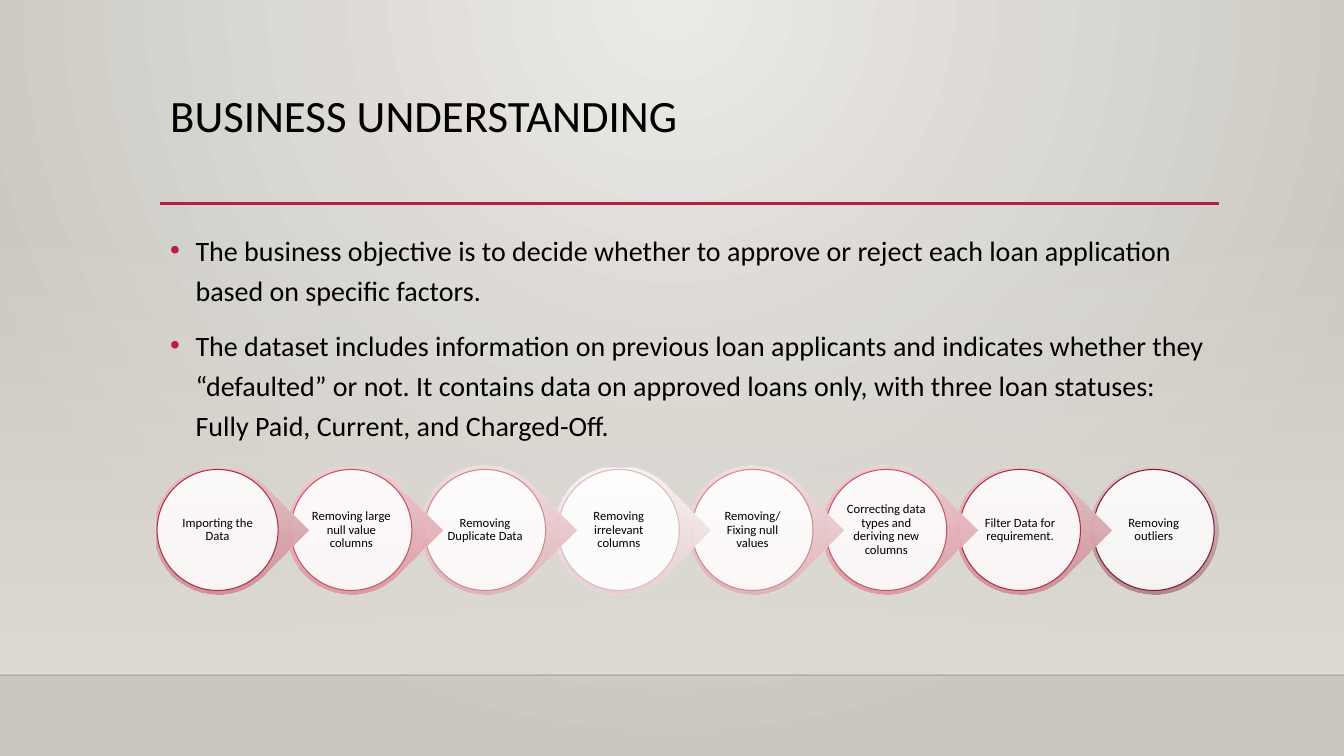
from lxml.etree import SubElement
from pptx import Presentation
from pptx.dml.color import RGBColor
from pptx.enum.shapes import MSO_CONNECTOR, MSO_SHAPE
from pptx.enum.text import MSO_ANCHOR, PP_ALIGN
from pptx.oxml import parse_xml
from pptx.oxml.ns import nsdecls, qn
from pptx.util import Cm, Pt

WIDTH, HEIGHT = 33.87, 19.05
STEP_LEFT, STEP_TOP, STEP_PITCH = 3.86, 11.73, 3.37
DROP_SIZE, DISC_SIZE, LABEL_SIZE = 3.25, 3.05, 2.18

DEEP = ("E8D1D3", "C9848B", "B22A45")
ROSE = ("F0D9DC", "D98F98", "C85165")
PALE = ("F5E8E9", "DCAAB0", "CF8892")
FAINT = ("FDFBFB", "E5CACD", "DBB9BD")
WINE = ("DBCCCD", "AD8387", "871631")

STEPS = [
    ("Importing the Data", DEEP),
    ("Removing large null value columns", ROSE),
    ("Removing Duplicate Data", PALE),
    ("Removing irrelevant columns", FAINT),
    ("Removing/Fixing null values", PALE),
    ("Correcting data types and deriving new columns", ROSE),
    ("Filter Data for requirement.", DEEP),
    ("Removing outliers", WINE),
]
BULLETS = [
    "The business objective is to decide whether to approve or reject each loan "
    "application based on specific factors.",
    "The dataset includes information on previous loan applicants and indicates whether "
    "they “defaulted” or not. It contains data on approved loans only, with three loan "
    "statuses: Fully Paid, Current, and Charged-Off.",
]
LINEAR = '<a:lin ang="5400000" scaled="0"/>'
RADIAL = '<a:path path="circle"><a:fillToRect l="43000" r="43000" b="100000"/></a:path>'


def rgb(value):
    """Turn a hex string into a colour."""
    return RGBColor.from_string(value)


def set_alpha(parent, percent):
    """Make the solid colour inside an element partly transparent."""
    clr = next(parent.iter(qn("a:srgbClr")))
    SubElement(clr, qn("a:alpha"), val=str(percent * 1000))


def set_gradient(fill, parent, start, end, start_alpha=100, end_alpha=100, shade=LINEAR):
    """Fill an element with a gradient of two colours."""
    fill.solid()
    stops = "".join(
        f'<a:gs pos="{pos}"><a:srgbClr val="{color}"><a:alpha val="{alpha * 1000}"/>'
        "</a:srgbClr></a:gs>"
        for pos, color, alpha in ((0, start, start_alpha), (100000, end, end_alpha))
    )
    grad = parse_xml(
        f'<a:gradFill {nsdecls("a")} rotWithShape="0"><a:gsLst>{stops}</a:gsLst>{shade}</a:gradFill>'
    )
    solid = next(parent.iter(qn("a:solidFill")))
    solid.getparent().replace(solid, grad)


def add_shape(s, kind, left, top, width, height):
    """Add a preset shape without line or shadow."""
    sp = s.shapes.add_shape(kind, Cm(left), Cm(top), Cm(width), Cm(height))
    sp.shadow.inherit = False
    sp.line.fill.background()
    return sp


def add_rule(s, left, right, y, color, width, alpha=100):
    """Add a horizontal line."""
    cx = s.shapes.add_connector(MSO_CONNECTOR.STRAIGHT, Cm(left), Cm(y), Cm(right), Cm(y))
    cx.line.color.rgb = rgb(color)
    cx.line.width = Pt(width)
    set_alpha(cx.line._ln, alpha)
    SubElement(cx._element.spPr, qn("a:effectLst"))


def add_text(s, left, top, width, height, paragraphs, size, spacing, **fmt):
    """Add a text box; fmt takes align, anchor, inset, before and bullet."""
    tf = s.shapes.add_textbox(Cm(left), Cm(top), Cm(width), Cm(height)).text_frame
    tf.word_wrap = True
    tf.vertical_anchor = fmt.get("anchor", MSO_ANCHOR.TOP)
    if "inset" in fmt:
        tf.margin_left = tf.margin_right = Cm(fmt["inset"])
        tf.margin_top = tf.margin_bottom = Cm(fmt["inset"])
    for i, text in enumerate(paragraphs):
        p = tf.add_paragraph() if i else tf.paragraphs[0]
        p.alignment = fmt.get("align", PP_ALIGN.LEFT)
        p.line_spacing = spacing
        p.space_before = Pt(fmt.get("before", 0))
        r = p.add_run()
        r.text = text
        r.font.name = "Calibri"
        r.font.size = Pt(size)
        r.font.color.rgb = rgb("000000")
        if "bullet" in fmt:
            add_bullet(p, fmt["bullet"])


def add_bullet(p, color):
    """Give a paragraph a hanging coloured bullet."""
    pPr = p._p.get_or_add_pPr()
    pPr.set("marL", str(Cm(0.64)))
    pPr.set("indent", str(Cm(-0.64)))
    SubElement(SubElement(pPr, qn("a:buClr")), qn("a:srgbClr"), val=color)
    SubElement(pPr, qn("a:buFont"), typeface="Arial")
    SubElement(pPr, qn("a:buChar"), char="•")


def add_step(s, index, text, colors, last):
    """Add one step: a drop pointing right, a disc and its label."""
    start, end, outline = colors
    left = STEP_LEFT + index * STEP_PITCH
    kind = MSO_SHAPE.OVAL if last else MSO_SHAPE.TEAR
    drop = add_shape(s, kind, left, STEP_TOP, DROP_SIZE, DROP_SIZE)
    if not last:
        drop.rotation = 45
        drop.adjustments[0] = 1
    set_gradient(drop.fill, drop._element.spPr, start, end, end_alpha=92)

    gap = (DROP_SIZE - DISC_SIZE) / 2
    disc = add_shape(s, MSO_SHAPE.OVAL, left + gap, STEP_TOP + gap, DISC_SIZE, DISC_SIZE)
    disc.fill.solid()
    disc.fill.fore_color.rgb = rgb("FFFFFF")
    set_alpha(disc._element.spPr, 90)
    disc.line.color.rgb = rgb(outline)
    disc.line.width = Pt(0.75)

    gap = (DROP_SIZE - LABEL_SIZE) / 2
    add_text(s, left + gap, STEP_TOP + gap, LABEL_SIZE, LABEL_SIZE, [text], 9, 0.9,
             align=PP_ALIGN.CENTER, anchor=MSO_ANCHOR.MIDDLE, inset=0.03)


def add_backdrop(s):
    """Paint the background, the wall and the floor line."""
    fill = s.background.fill
    set_gradient(fill, s._element, "ECEAE7", "CAC7C1", shade=RADIAL)
    wall = add_shape(s, MSO_SHAPE.RECTANGLE, 0, 5.61, WIDTH, 11.4)
    set_gradient(wall.fill, wall._element.spPr, "DFDBD5", "DFDBD5", start_alpha=0)
    add_rule(s, 0, WIDTH, 17.01, "000001", 1, alpha=20)


def main():
    """Build the slide and save it."""
    prs = Presentation()
    prs.slide_width, prs.slide_height = Cm(WIDTH), Cm(HEIGHT)
    s = prs.slides.add_slide(prs.slide_layouts[6])
    add_backdrop(s)
    add_rule(s, 4.04, 30.73, 5.13, "B71E42", 2.5)
    add_text(s, 4.04, 2.24, 26.67, 2.92, ["BUSINESS UNDERSTANDING"], 32, 0.9)
    add_text(s, 4.04, 5.59, 26.67, 9.58, BULLETS, 20, 1.2, before=10, bullet="B71E42")
    last = len(STEPS) - 1
    for index, (text, colors) in reversed(list(enumerate(STEPS))):
        add_step(s, index, text, colors, index == last)
    prs.save("out.pptx")


if __name__ == "__main__":
    main()
